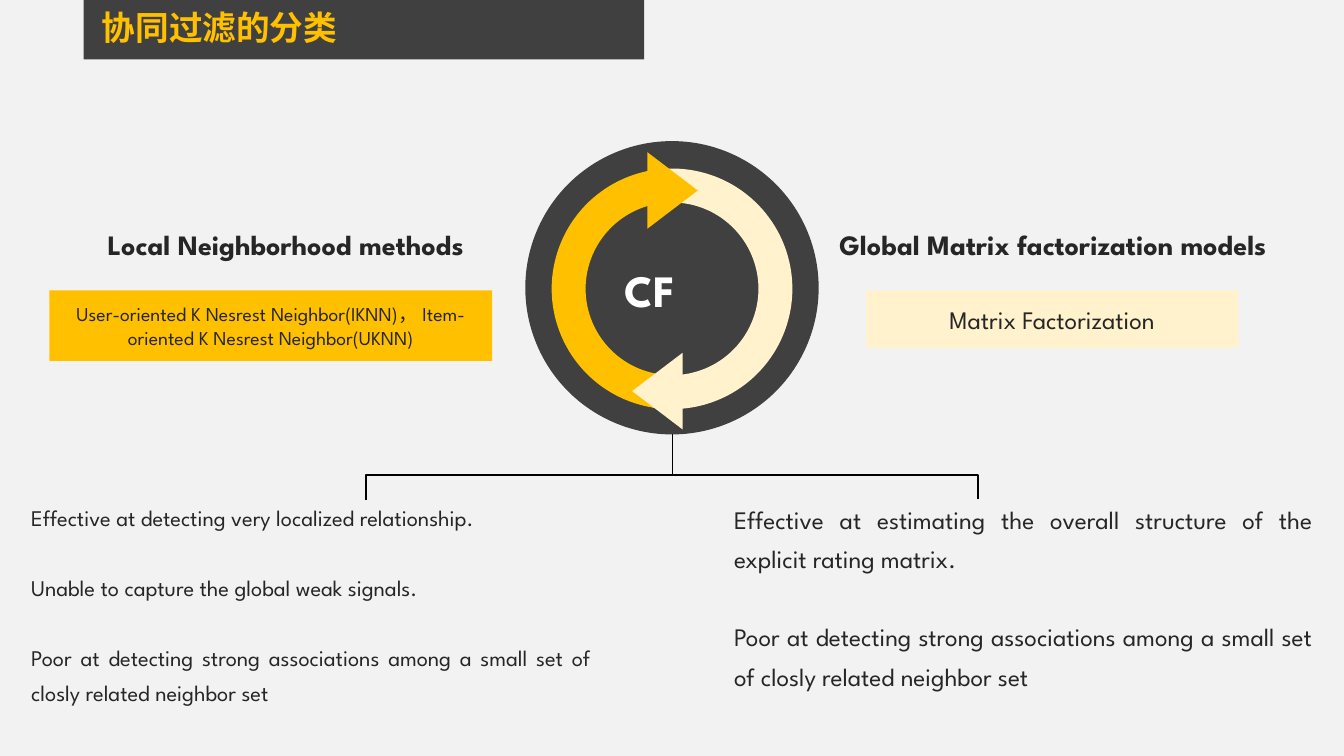
from lxml import etree
from pptx import Presentation
from pptx.dml.color import RGBColor
from pptx.enum.shapes import MSO_CONNECTOR, MSO_SHAPE
from pptx.enum.text import MSO_ANCHOR, MSO_AUTO_SIZE, PP_ALIGN
from pptx.oxml.ns import qn
from pptx.util import Inches, Pt

COLORS = {
    "background": "F2F2F2",
    "dark": "404040",
    "gold": "FFC000",
    "cream": "FFF2CC",
    "ink": "262626",
    "white": "FFFFFF",
    "line": "000000",
}


def rgb(name):
    return RGBColor.from_string(COLORS[name])


def write(shape, paragraphs, size, color="ink", bold=False, gap=0,
          frame_format=None, paragraph_format=None):
    """Fill a shape with formatted paragraphs, set gap points apart."""
    frame = shape.text_frame
    frame_values = {"word_wrap": True, "auto_size": MSO_AUTO_SIZE.NONE}
    for key, value in (frame_values | (frame_format or {})).items():
        setattr(frame, key, value)
    for index, text in enumerate(paragraphs):
        paragraph = frame.paragraphs[0] if index == 0 else frame.add_paragraph()
        properties = paragraph._p.get_or_add_pPr()
        properties.set("marL", "0")
        properties.set("indent", "0")
        etree.SubElement(properties, qn("a:buNone"))
        spacing = {"space_before": Pt(gap if index else 0)}
        for key, value in (spacing | (paragraph_format or {})).items():
            setattr(paragraph, key, value)
        run = paragraph.add_run()
        run.text = text
        font_format = {"name": "League Spartan", "size": Pt(size), "bold": bold}
        for key, value in font_format.items():
            setattr(run.font, key, value)
        run.font.color.rgb = rgb(color)


prs = Presentation()
prs.slide_width, prs.slide_height = Inches(13.33), Inches(7.5)
slide = prs.slides.add_slide(prs.slide_layouts[3])
slide.background.fill.solid()
slide.background.fill.fore_color.rgb = rgb("background")
shapes = slide.shapes

# Title band and filled parts of the cycle
filled_parts = {}
for part, kind, box, rotation, color in [
    ("band", MSO_SHAPE.RECTANGLE, (0.83, 0, 5.56, 0.59), 0, "dark"),
    ("disc", MSO_SHAPE.OVAL, (5.21, 1.4, 2.91, 2.91), 0, "dark"),
    ("gold head", MSO_SHAPE.ISOSCELES_TRIANGLE, (6.29, 1.64, 0.76, 0.5), 90, "gold"),
    ("cream head", MSO_SHAPE.ISOSCELES_TRIANGLE, (6.14, 3.63, 0.76, 0.5), 270, "cream"),
    ("local", MSO_SHAPE.RECTANGLE, (0.49, 2.88, 4.39, 0.7), 0, "gold"),
    ("global", MSO_SHAPE.RECTANGLE, (8.59, 2.88, 3.69, 0.57), 0, "cream"),
]:
    filled = shapes.add_shape(kind, *map(Inches, box))
    filled.rotation = rotation
    filled.shadow.inherit = False
    filled.fill.solid()
    filled.fill.fore_color.rgb = rgb(color)
    filled.line.fill.background()
    filled_parts[part] = filled

band = filled_parts["band"]._element
shapes._spTree.remove(band)
shapes._spTree.insert(2, band)

# Ring halves lie between the disc and the arrowheads
for color, rotation, angles in [
    ("cream", 120, (87.1, 203.86)),
    ("gold", 0, (55.9, 158.41)),
]:
    half = shapes.add_shape(MSO_SHAPE.ARC, *map(Inches, (5.64, 1.84, 2.05, 2.05)))
    half.rotation = rotation
    half.shadow.inherit = False
    half.adjustments[0], half.adjustments[1] = angles
    half.fill.background()
    half.line.color.rgb = rgb(color)
    half.line.width = Pt(24.25)
    filled_parts["gold head"]._element.addprevious(half._element)

# Bracket from the cycle to the two descriptions
stem = shapes.add_connector(
    MSO_CONNECTOR.STRAIGHT, *map(Inches, (6.67, 4.31, 6.67, 4.7)))
bracket = shapes.add_connector(
    MSO_CONNECTOR.ELBOW, *map(Inches, (6.67, 7.99, 6.66, 1.92)))
bracket_properties = bracket._element.spPr
bracket_properties.find(qn("a:xfrm")).set("rot", "5400000")
bend = etree.SubElement(
    bracket_properties.find(qn("a:prstGeom")).find(qn("a:avLst")), qn("a:gd"))
bend.set("name", "adj1")
bend.set("fmla", "val 2500000")
for connector in (stem, bracket):
    connector.line.color.rgb = rgb("line")
    connector.line.width = Pt(1)
    etree.SubElement(connector._element.spPr, qn("a:effectLst"))

# Headings and the label of the cycle
for text, box, size, color, alignment in [
    ("CF", (6.1, 2.56, 0.77, 0.64), 32, "white", PP_ALIGN.LEFT),
    ("Global Matrix factorization models", (8.01, 2.21, 4.87, 0.44), 20, "ink",
     PP_ALIGN.CENTER),
    ("Local Neighborhood methods", (0.67, 2.21, 4.33, 0.44), 20, "ink",
     PP_ALIGN.CENTER),
]:
    label = shapes.add_textbox(*map(Inches, box))
    write(label, [text], size, color, bold=True,
          frame_format={"word_wrap": False},
          paragraph_format={"alignment": alignment})

# Methods in the coloured boxes
for part, text, size in [
    ("local",
     "User-oriented K Nesrest Neighbor(IKNN)， Item-oriented K Nesrest Neighbor(UKNN)",
     14),
    ("global", "Matrix Factorization", 18),
]:
    write(filled_parts[part], [text], size,
          frame_format={"vertical_anchor": MSO_ANCHOR.MIDDLE},
          paragraph_format={"alignment": PP_ALIGN.CENTER})

# Title and descriptions
weak_spot = ("Poor at detecting strong associations among a small set of "
             "closly related neighbor set")
local_traits = [
    "Effective at detecting very localized relationship.",
    "Unable to capture the global weak signals.",
    weak_spot,
]
global_traits = [
    "Effective at estimating the overall structure of the explicit rating matrix.",
    weak_spot,
]
for index, box, paragraphs, size, color, bold, gap, alignment, spacing in [
    (0, (0.91, 0.06, 3.75, 0.5), ["协同过滤的分类"], 24, "gold", True, 0,
     PP_ALIGN.LEFT, 0.9),
    (1, (0.21, 4.87, 5.75, 2.2), local_traits, 16, "ink", False, 25,
     PP_ALIGN.JUSTIFY, 1.3),
    (2, (7.18, 4.86, 5.94, 2.42), global_traits, 18, "ink", False, 28,
     PP_ALIGN.JUSTIFY, 1.3),
]:
    holder = slide.placeholders[index]
    holder.left, holder.top, holder.width, holder.height = map(Inches, box)
    write(holder, paragraphs, size, color, bold, gap,
          frame_format={"vertical_anchor": MSO_ANCHOR.TOP},
          paragraph_format={"alignment": alignment, "line_spacing": spacing})

prs.save("out.pptx")
